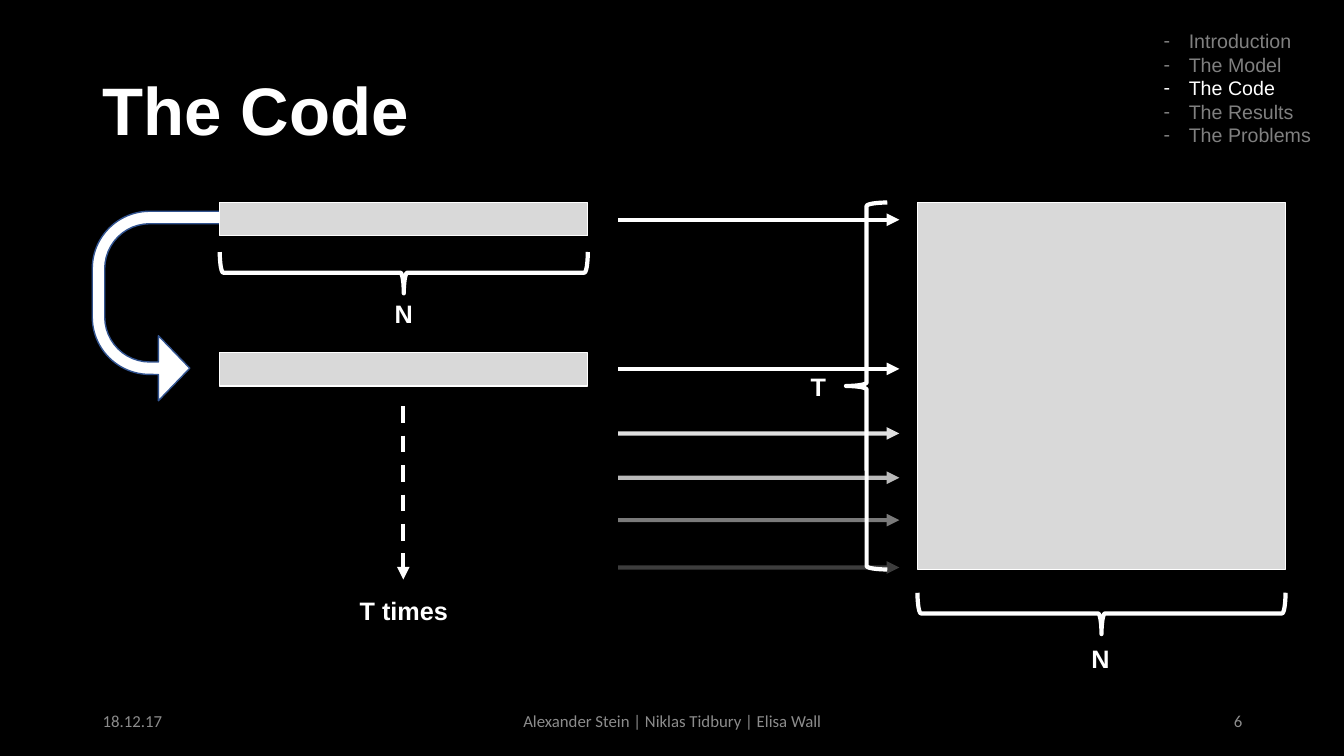
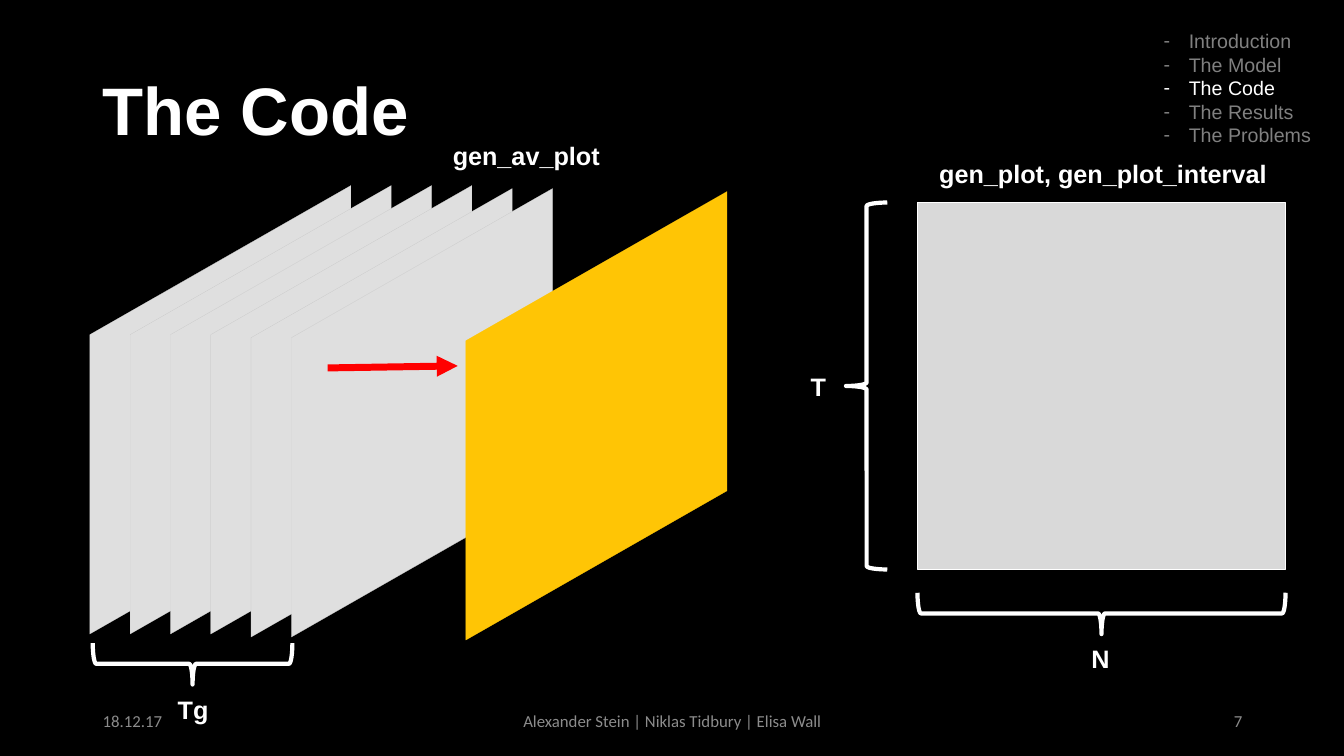
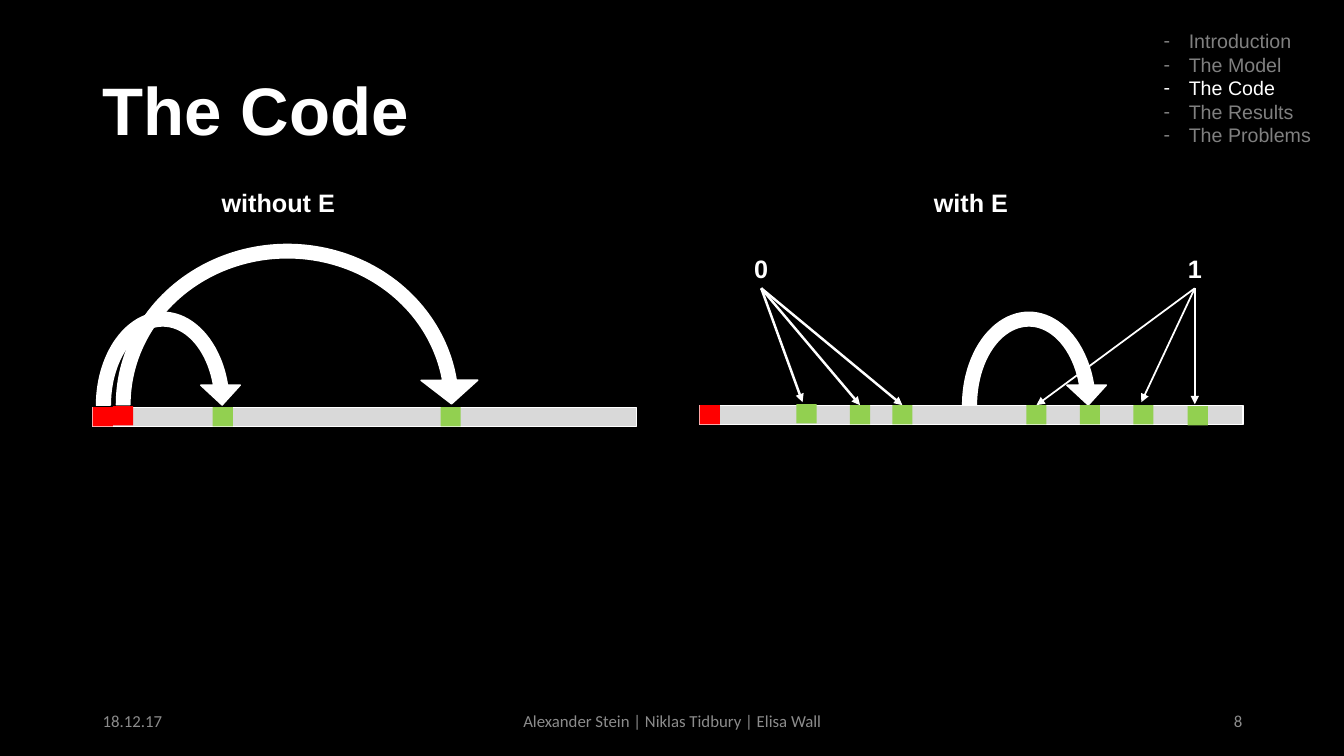
from lxml.etree import SubElement as Sub
from pptx import Presentation
from pptx.dml.color import RGBColor as RGB
from pptx.enum.dml import MSO_LINE as Dash
from pptx.enum.shapes import MSO_CONNECTOR as Conn, MSO_SHAPE as Kind
from pptx.enum.text import MSO_ANCHOR as Anchor, MSO_AUTO_SIZE as Auto, PP_ALIGN as Align
from pptx.oxml.ns import qn
from pptx.util import Inches, Pt

BLACK = RGB(0, 0, 0)
WHITE = RGB(255, 255, 255)
SILVER = RGB(0xD9, 0xD9, 0xD9)
PALE = RGB(0xDF, 0xDF, 0xDF)
EDGE = RGB(0xC4, 0xC4, 0xC4)
MUTED = RGB(0x80, 0x80, 0x80)
FOOT = RGB(0x8C, 0x8C, 0x8C)
GOLD = RGB(0xFF, 0xC5, 0x05)
RED = RGB(255, 0, 0)
GREEN = RGB(0x92, 0xD0, 0x50)
NAVY = RGB(0x32, 0x54, 0x91)

WIDE, HIGH = 13.33, 7.5
TITLE = "The Code"
AGENDA = ["Introduction", "The Model", "The Code", "The Results", "The Problems"]
DATE = "18.12.17"
TEAM = "Alexander Stein | Niklas Tidbury | Elisa Wall"
FIRST = 6

HEAD = dict(name="Arial", size=Pt(48), bold=True)
LABEL = dict(name="Arial", size=Pt(18), bold=True)
ITEM = dict(name="Arial", size=Pt(14), bold=False)
SMALL = dict(name="Calibri", size=Pt(12), bold=False)

SIDE, TOP, TALL = 3.65, 2.01, 3.64
GRID, ROW = 9.1, 2.18
THIN, DEEP = 0.33, 0.41
STEPS = [(2.18, 100), (3.66, 100), (4.3, 88), (4.74, 72), (5.16, 48), (5.63, 23)]
UTURN = (0.096, 0.25, 0.241, 0.442, 0.75)

SHEETS, STEP = 6, 0.4
SLANT, DROP, DEPTH = 2.59, 1.48, 2.97

BAR, CELL, CELL_H = 5.39, 0.2, 0.19
LEFT, RIGHT = (0.92, 4.04), (6.94, 4.02)
SMALL_ARC = (0.087, 11.423, 204.518, 108, 0.125)
LARGE_ARC = (0.037, 4.978, 210.855, 108, 0.078)
ARCS = [(0.83, 2.97, 1.57, 2.1, SMALL_ARC), (0.94, 2.21, 3.82, 3.61, LARGE_ARC),
        (9.42, 2.97, 1.57, 2.1, SMALL_ARC)]
REDS = [LEFT, (1.12, 4.03), RIGHT]
GREENS = [(2.11, 4.04), (4.37, 4.04), (10.71, 4.02)]
FANS = [
    ("0", 7.14, 1.75, [(7.9, 4.01, (7.96, 3.99)), (8.43, 4.02, None), (8.85, 4.02, None)]),
    ("1", 11.44, 1.25, [(11.78, 4.03, (11.85, 4.01)), (11.24, 4.02, (11.32, 3.99)),
                        (10.18, 4.02, None)]),
]


def place(shape, *box):
    for key, val in zip(("left", "top", "width", "height"), box):
        setattr(shape, key, Inches(val))


def style(font, look, color):
    for key, val in look.items():
        setattr(font, key, val)
    font.color.rgb = color


def text(slide, words, x, y, w, look=LABEL, color=WHITE, align=Align.CENTER,
         anchor=Anchor.TOP):
    box = slide.shapes.add_textbox(*map(Inches, (x, y, w, 0.4)))
    frame = box.text_frame
    frame.word_wrap = True
    frame.vertical_anchor = anchor
    para = frame.paragraphs[0]
    para.alignment = align
    run = para.add_run()
    run.text = words
    style(run.font, look, color)
    return box


def paint(shape, fill, line, width):
    shape.shadow.inherit = False
    if fill is None:
        shape.fill.background()
    else:
        shape.fill.solid()
        shape.fill.fore_color.rgb = fill
    if line is None:
        shape.line.fill.background()
    else:
        shape.line.color.rgb = line
        shape.line.width = Pt(width)
    return shape


def draw(slide, kind, x, y, w, h, fill=SILVER, line=WHITE, width=1, adj=()):
    shape = slide.shapes.add_shape(kind, *map(Inches, (x, y, w, h)))
    for n, val in enumerate(adj):
        shape.adjustments[n] = val
    return paint(shape, fill, line, width)


def brace(slide, x, y, span, flat=True):
    if flat:
        x, y = x + (span - DEEP) / 2, y + (DEEP - span) / 2
    shape = draw(slide, Kind.LEFT_BRACE, x, y, DEEP, span, None, WHITE, 3)
    shape.rotation = 270 if flat else 0


def arrow(slide, start, end, width=3, color=WHITE, alpha=100, dash=None):
    line = slide.shapes.add_connector(Conn.STRAIGHT, *map(Inches, start + end))
    line.line.color.rgb = color
    line.line.width = Pt(width)
    if dash:
        line.line.dash_style = dash
    props = line.element.spPr
    edge = props.find(qn("a:ln"))
    if alpha < 100:
        tint = edge.find(".//" + qn("a:srgbClr"))
        Sub(tint, qn("a:alpha"), val=str(alpha * 1000))
    Sub(edge, qn("a:tailEnd"), type="triangle")
    Sub(props, qn("a:effectLst"))
    return line


def sheet(slide, x, y, fill, line):
    x, y, w, d, h = map(Inches, (x, y, SLANT, DROP, DEPTH))
    form = slide.shapes.build_freeform(x, y + d)
    form.add_line_segments([(x + w, y), (x + w, y + h), (x, y + d + h)], close=True)
    paint(form.convert_to_shape(), fill, line, 0.1)


def agenda(body):
    place(body, 11.44, 0.24, 1.89, 1.33)
    frame = body.text_frame
    frame.auto_size = Auto.NONE
    frame.text = "\n".join(AGENDA)
    for para in frame.paragraphs:
        para.space_before = Pt(0)
        para.line_spacing = Pt(16.8)
        style(para.runs[0].font, ITEM, WHITE if para.text == TITLE else MUTED)
        props = para._p.get_or_add_pPr()
        props.set("marL", str(Inches(0.25)))
        props.set("indent", str(-Inches(0.25)))
        Sub(props, qn("a:buChar"), char="-")


def base(deck, number):
    slide = deck.slides.add_slide(deck.slide_layouts[1])
    title, body = slide.placeholders
    place(title, 0.92, 0.4, 11.5, 1.45)
    title.text_frame.text = TITLE
    title.text_frame.auto_size = Auto.NONE
    title.text_frame.vertical_anchor = Anchor.MIDDLE
    para = title.text_frame.paragraphs[0]
    para.alignment = Align.LEFT
    para.line_spacing = 0.9
    style(para.runs[0].font, HEAD, WHITE)
    agenda(body)
    for words, x, w, align in [(DATE, 0.92, 3, Align.LEFT), (TEAM, 4.42, 4.5, Align.CENTER),
                               (str(number), 9.42, 3, Align.RIGHT)]:
        text(slide, words, x, 6.95, w, SMALL, FOOT, align, Anchor.MIDDLE)
    return slide


def matrix(slide):
    draw(slide, Kind.RECTANGLE, GRID, TOP, SIDE, TALL)
    brace(slide, GRID, 5.88, SIDE)
    brace(slide, 8.39, TOP, TALL, False)
    text(slide, "T", 7.84, 3.63, 0.55)
    text(slide, "N", 10.64, 6.33, 0.55)


def loop(slide):
    turn = draw(slide, Kind.U_TURN_ARROW, 0.62, 2.39, 1.88, 1.29, WHITE, NAVY, 1, UTURN)
    turn.rotation = 90
    turn.element.spPr.find(qn("a:xfrm")).set("flipV", "1")
    matrix(slide)
    for y in (TOP, 3.5):
        draw(slide, Kind.RECTANGLE, ROW, y, SIDE, THIN)
    brace(slide, ROW, 2.5, SIDE)
    text(slide, "N", 3.73, 2.91, 0.55)
    arrow(slide, (4, 4.03), (4, 5.75), dash=Dash.DASH)
    text(slide, "T times", 2.84, 5.86, 2.33)
    for y, alpha in STEPS:
        arrow(slide, (6.13, y), (8.92, y), alpha=alpha)


def stack(slide):
    matrix(slide)
    text(slide, "gen_plot, gen_plot_interval", 9.13, 1.52, 3.62)
    for n in range(SHEETS):
        sheet(slide, 0.89 + n * STEP, 1.84 if n < 4 else 1.87, PALE, EDGE)
    brace(slide, 0.92, 6.38, 1.98)
    text(slide, "Tg", 1.64, 6.84, 0.55)
    text(slide, "gen_av_plot", 3.41, 1.34, 3.62)
    sheet(slide, 4.62, 1.9, GOLD, GOLD)
    arrow(slide, (3.25, 3.65), (4.54, 3.63), 5, RED)


def cell(slide, x, y, color):
    return draw(slide, Kind.RECTANGLE, x, y, CELL, CELL_H, color, None)


def cases(slide):
    for words, x in [("without E", 0.95), ("with E", 7.82)]:
        text(slide, words, x, 1.81, 3.62)
    for x, y in (LEFT, RIGHT):
        draw(slide, Kind.RECTANGLE, x, y, BAR, CELL_H)
    for *box, adj in ARCS:
        draw(slide, Kind.CIRCULAR_ARROW, *box, WHITE, WHITE, 1, adj)
    for spots, color in ((REDS, RED), (GREENS, GREEN)):
        for x, y in spots:
            cell(slide, x, y, color)
    for words, x, width, goals in FANS:
        label = text(slide, words, x, 2.46, 0.82)
        for left, top, end in goals:
            goal = cell(slide, left, top, GREEN)
            ray = arrow(slide, (x + 0.41, 2.86), end or (left + CELL / 2, top), width)
            ray.begin_connect(label, 2)
            if not end:
                ray.end_connect(goal, 0)


def main():
    deck = Presentation()
    deck.slide_width, deck.slide_height = Inches(WIDE), Inches(HIGH)
    back = deck.slide_master.background.fill
    back.solid()
    back.fore_color.rgb = BLACK
    for number, build in enumerate((loop, stack, cases), FIRST):
        build(base(deck, number))
    deck.save("out.pptx")


if __name__ == "__main__":
    main()
